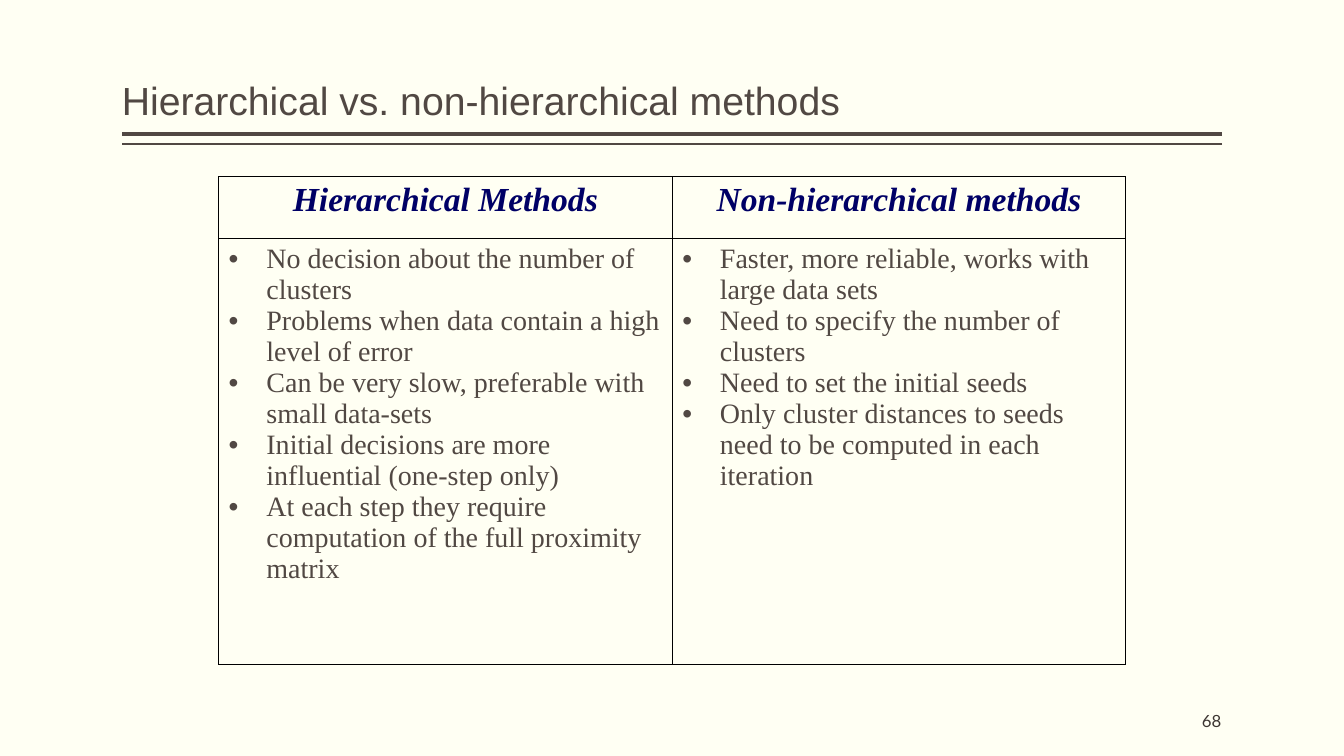
from lxml import etree
from pptx import Presentation
from pptx.dml.color import RGBColor
from pptx.enum import shapes, text
from pptx.oxml import ns
from pptx.util import Cm, Pt

CREAM = RGBColor(0xFF, 0xFF, 0xF3)
BROWN = RGBColor(0x51, 0x48, 0x43)
DARK = RGBColor(0x3D, 0x36, 0x32)
NAVY = RGBColor(0x00, 0x00, 0x66)
SERIF = "Times New Roman"
HANG = Cm(0.95)

METHODS = {
    "Hierarchical Methods": [
        "No decision about the number of clusters",
        "Problems when data contain a high level of error",
        "Can be very slow, preferable with small data-sets",
        "Initial decisions are more influential (one-step only)",
        "At each step they require computation of the full proximity matrix",
    ],
    "Non-hierarchical methods": [
        "Faster, more reliable, works with large data sets",
        "Need to specify the number of clusters",
        "Need to set the initial seeds",
        "Only cluster distances to seeds need to be computed in each iteration",
    ],
}


def sub(parent, tag, **attrs):
    return etree.SubElement(parent, ns.qn(tag), attrs)


def style(para, size, face, color):
    font = para.font
    font.size, font.name = Pt(size), face
    font.color.rgb = color


def label(slide, box, words, anchor):
    """Add a one-line text box and return its paragraph."""
    frame = slide.shapes.add_textbox(*box).text_frame
    frame.word_wrap = True
    frame.margin_left = frame.margin_right = 0
    frame.vertical_anchor = anchor
    para = frame.paragraphs[0]
    para.text = words
    return para


def rule(slide, left, top, width, weight):
    line = slide.shapes.add_connector(
        shapes.MSO_CONNECTOR.STRAIGHT, left + width, top, left, top)
    line.line.color.rgb = BROWN
    line.line.width = Pt(weight)
    sub(line._element.spPr, "a:effectLst")


def header(slide, left, top, width, height):
    """Add the title with a thick and a thin rule below it."""
    para = label(slide, (left, top, width, height),
                 "Hierarchical vs. non-hierarchical methods",
                 text.MSO_ANCHOR.BOTTOM)
    para.line_spacing = 0.9
    style(para, 28, "Arial", BROWN)
    base = top + height
    rule(slide, left, base + Cm(0.13), width, 3)
    rule(slide, left, base + Cm(0.38), width, 1)


def frame_cell(cell):
    """Give a cell black borders and no fill."""
    props = cell._tc.get_or_add_tcPr()
    for side in "LRTB":
        edge = sub(props, f"a:ln{side}", w=str(Pt(1)))
        sub(sub(edge, "a:solidFill"), "a:srgbClr", val="000000")
    cell.fill.background()


def hang(para, bullet):
    props = para._p.get_or_add_pPr()
    props.set("marL", str(HANG))
    props.set("indent", str(-HANG))
    if bullet:
        sub(props, "a:buFont", typeface="Arial")
        sub(props, "a:buChar", char="•")
    else:
        sub(props, "a:buNone")


def compare(slide, left, top, width, height):
    """Add the table with one column for each kind of method."""
    table = slide.shapes.add_table(
        2, len(METHODS), left, top, width, height).table
    table.first_row = table.horz_banding = False
    head = Cm(1.55)
    table.rows[0].height = head
    table.rows[1].height = height - head
    for col, (name, points) in enumerate(METHODS.items()):
        top_cell, body = table.cell(0, col), table.cell(1, col)
        for cell in (top_cell, body):
            frame_cell(cell)
        top_cell.text = name
        para = top_cell.text_frame.paragraphs[0]
        hang(para, False)
        para.alignment = text.PP_ALIGN.CENTER
        style(para, 24, SERIF, NAVY)
        para.font.bold = para.font.italic = True
        body.text = "\n".join(points)
        for para in body.text_frame.paragraphs:
            hang(para, True)
            style(para, 20, SERIF, BROWN)


def number(slide, *box):
    para = label(slide, box, "68", text.MSO_ANCHOR.MIDDLE)
    para.alignment = text.PP_ALIGN.RIGHT
    style(para, 12, "Lato", DARK)


def main():
    deck = Presentation()
    deck.slide_width, deck.slide_height = Cm(33.87), Cm(19.05)
    slide = deck.slides.add_slide(deck.slide_layouts[6])
    fill = slide.background.fill
    fill.solid()
    fill.fore_color.rgb = CREAM
    header(slide, Cm(3.07), Cm(0.2), Cm(27.73), Cm(3.05))
    compare(slide, Cm(5.51), Cm(4.45), Cm(22.86), Cm(12.3))
    number(slide, Cm(25.7), Cm(17.65), Cm(5.08), Cm(1.02))
    deck.save("out.pptx")


if __name__ == "__main__":
    main()
